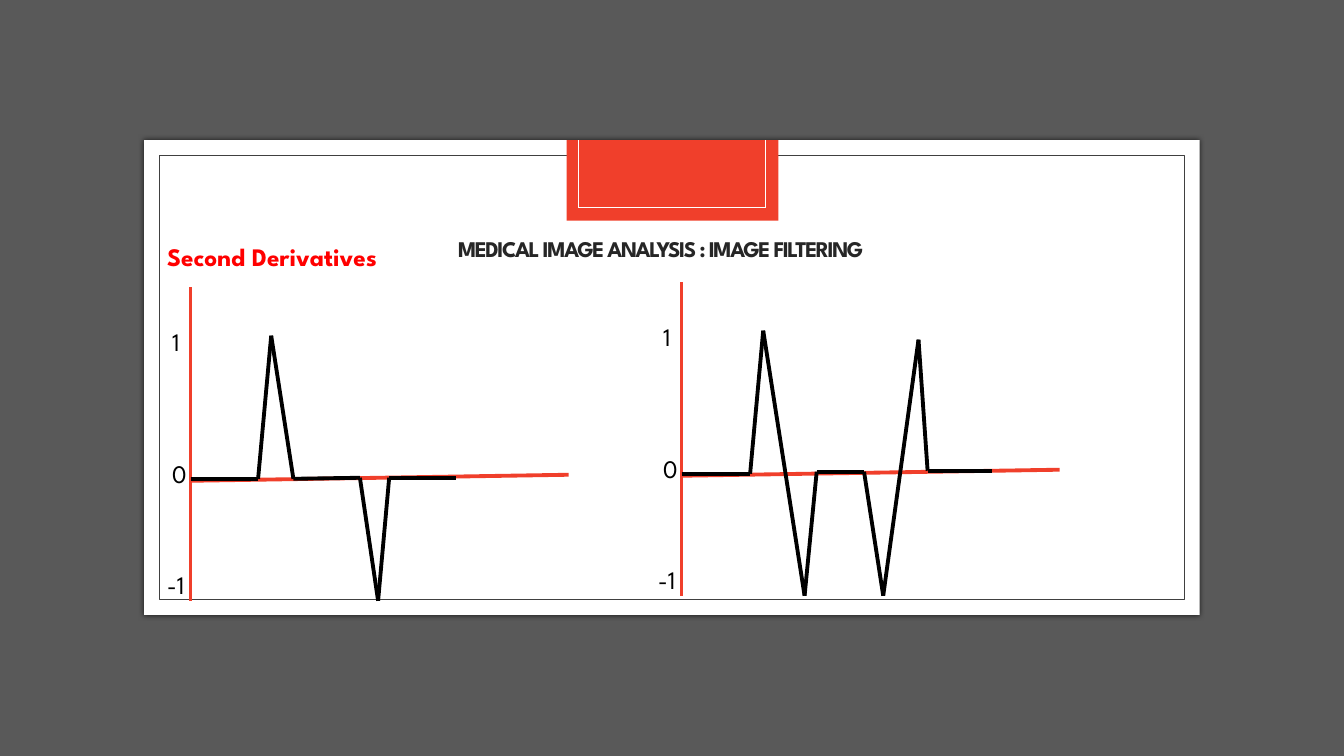
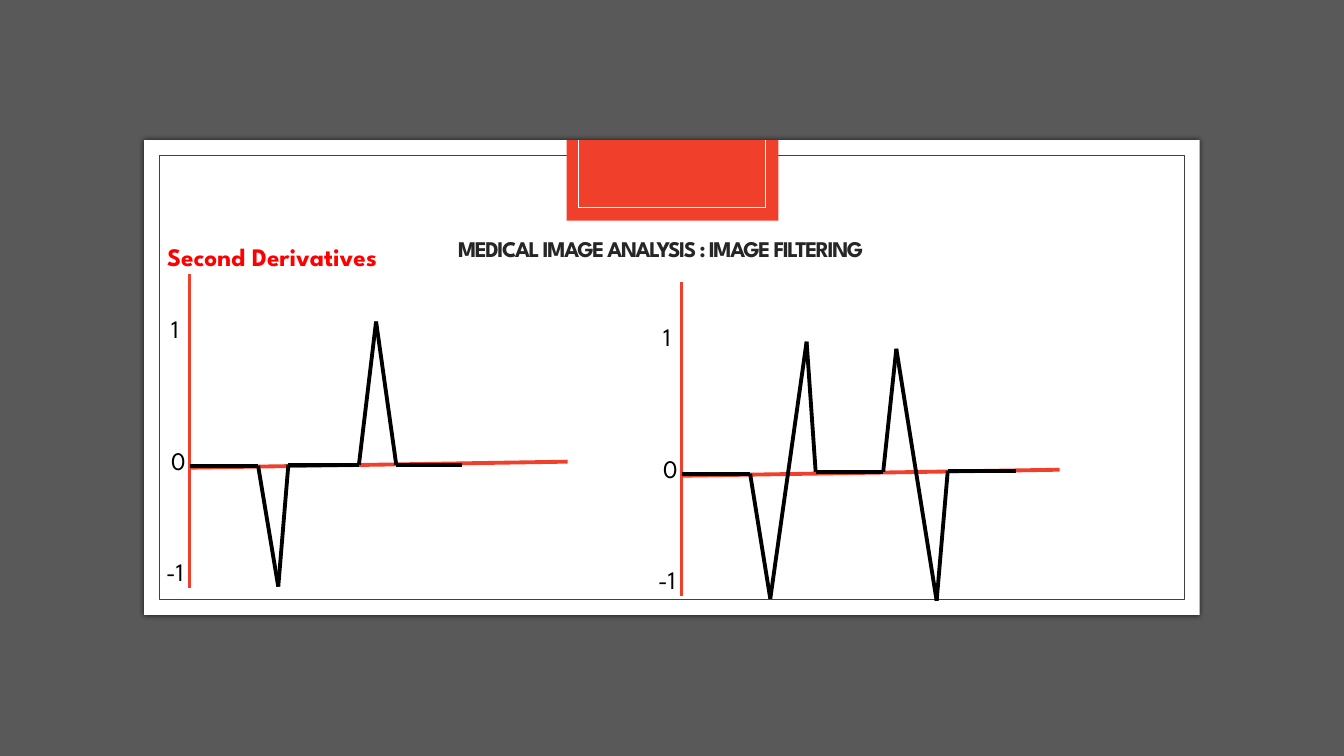
from itertools import pairwise

from lxml.etree import SubElement
from pptx import Presentation
from pptx.dml.color import RGBColor
from pptx.enum.shapes import MSO_CONNECTOR, MSO_SHAPE
from pptx.enum.text import MSO_ANCHOR, MSO_AUTO_SIZE, PP_ALIGN
from pptx.oxml.ns import qn
from pptx.util import Inches, Pt

COLORS = {
    "backdrop": "595959",
    "panel": "FFFFFF",
    "border": "404040",
    "accent": "F03F2B",
    "title": "262626",
    "heading": "FF0000",
    "ink": "000000",
}
FONT = "League Spartan"
TITLE = "MEDICAL IMAGE ANALYSIS : IMAGE FILTERING"
HEADING = "Second Derivatives"
PLOT_LINE = 2.75

AXIS_HEIGHT = 3.11
BASELINE = [(0, 1.92), (3.75, 1.86)]
SCALE_LABELS = [("1", -0.28, 0.34, 0.34), ("0", -0.28, 1.65, 0.34), ("-1", -0.33, 2.75, 0.43)]

SLIDE_PLOTS = [
    [
        ((1.89, 2.85), [(0, 1.9), (0.67, 1.9), (0.8, 0.48), (1.02, 1.9), (1.68, 1.89),
                        (1.86, 3.11), (1.97, 1.89), (2.63, 1.89)]),
        ((6.76, 2.8), [(0, 1.9), (0.68, 1.9), (0.81, 0.48), (1.22, 3.11), (1.34, 1.88),
                       (1.81, 1.88), (2, 3.11), (2.35, 0.57), (2.44, 1.87), (3.08, 1.87)]),
    ],
    [
        ((1.88, 2.72), [(0, 1.9), (0.68, 1.9), (0.88, 3.1), (0.98, 1.89), (1.68, 1.89),
                        (1.85, 0.47), (2.05, 1.89), (2.7, 1.89)]),
        ((6.76, 2.8), [(0, 1.9), (0.68, 1.9), (0.88, 3.14), (1.24, 0.59), (1.33, 1.88),
                       (2, 1.88), (2.13, 0.66), (2.53, 3.16), (2.64, 1.87), (3.32, 1.87)]),
    ],
]


def rgb(name):
    return RGBColor.from_string(COLORS[name])


def add_box(slide, left, top, width, height, fill=None, border=None):
    box = slide.shapes.add_shape(
        MSO_SHAPE.RECTANGLE, Inches(left), Inches(top), Inches(width), Inches(height))
    box.shadow.inherit = False
    if fill:
        box.fill.solid()
        box.fill.fore_color.rgb = rgb(fill)
    else:
        box.fill.background()
    if border:
        box.line.color.rgb = rgb(border)
        box.line.width = Pt(0.5)
    else:
        box.line.fill.background()
    return box


def add_glow(box):
    effects = box.element.spPr.find(qn("a:effectLst"))
    shadow = SubElement(effects, qn("a:outerShdw"), blurRad=str(Pt(4)), dist="0", dir="0")
    tint = SubElement(shadow, qn("a:srgbClr"), val=COLORS["ink"])
    SubElement(tint, qn("a:alpha"), val="66000")


def add_path(slide, points, color, weight, origin=(0, 0)):
    corners = [(Inches(origin[0] + x), Inches(origin[1] + y)) for x, y in points]
    segments = []
    for start, end in pairwise(corners):
        segment = slide.shapes.add_connector(MSO_CONNECTOR.STRAIGHT, *start, *end)
        segment.line.color.rgb = rgb(color)
        segment.line.width = Pt(weight)
        SubElement(segment.element.spPr, qn("a:effectLst"))
        segments.append(segment)
    return segments


def add_label(slide, text, left, top, width, color="ink", bold=False):
    label = slide.shapes.add_textbox(Inches(left), Inches(top), Inches(width), Inches(0.4))
    label.text_frame.word_wrap = False
    label.text_frame.auto_size = MSO_AUTO_SIZE.SHAPE_TO_FIT_TEXT
    style_paragraph(label.text_frame.paragraphs[0], text, 18, color, bold)


def style_paragraph(paragraph, text, size, color, bold):
    paragraph.text = text
    paragraph.font.name = FONT
    paragraph.font.size = Pt(size)
    paragraph.font.bold = bold
    paragraph.font.color.rgb = rgb(color)


def build_frame(layout, slide):
    panel = add_box(slide, 1.43, 1.39, 10.47, 4.71, fill="panel")
    add_glow(panel)
    frame = [
        panel,
        add_box(slide, 1.58, 1.54, 10.17, 4.41, border="border"),
        add_box(slide, 5.62, 1.39, 2.1, 0.8, fill="accent"),
        *add_path(slide, [(5.74, 1.39), (5.74, 2.06), (7.59, 2.06), (7.59, 1.39)], "panel", 0.5),
    ]
    for number, part in enumerate(frame, start=100):
        part.element.xpath(".//p:cNvPr")[0].set("id", str(number))
        layout.shapes.element.append(part.element)


def prepare_layout(layout):
    layout.background.fill.solid()
    layout.background.fill.fore_color.rgb = rgb("backdrop")
    title = layout.placeholders[0]
    title.left, title.top = Inches(1.67), Inches(2.24)
    title.width, title.height = Inches(9.77), Inches(0.5)
    title.text_frame.vertical_anchor = MSO_ANCHOR.MIDDLE


def set_title(slide):
    title = slide.shapes.title
    paragraph = title.text_frame.paragraphs[0]
    style_paragraph(paragraph, TITLE, 16, "title", True)
    paragraph.alignment = PP_ALIGN.CENTER
    paragraph.line_spacing = 0.83
    title.element.xpath(".//a:defRPr")[0].set("spc", "-100")


def add_plot(slide, origin, trace):
    left, top = origin
    add_path(slide, [(0, 0), (0, AXIS_HEIGHT)], "accent", PLOT_LINE, origin)
    add_path(slide, BASELINE, "accent", PLOT_LINE, origin)
    add_path(slide, trace, "ink", PLOT_LINE, origin)
    for text, dx, dy, width in SCALE_LABELS:
        add_label(slide, text, left + dx, top + dy, width)


def main():
    deck = Presentation()
    deck.slide_width, deck.slide_height = Inches(13.33), Inches(7.5)
    layout = deck.slide_layouts[5]
    prepare_layout(layout)
    slides = [deck.slides.add_slide(layout) for _ in SLIDE_PLOTS]
    build_frame(layout, slides[0])
    for slide, plots in zip(slides, SLIDE_PLOTS):
        set_title(slide)
        add_label(slide, HEADING, 1.56, 2.34, 2.3, "heading", True)
        for origin, trace in plots:
            add_plot(slide, origin, trace)
    deck.save("out.pptx")


if __name__ == "__main__":
    main()
